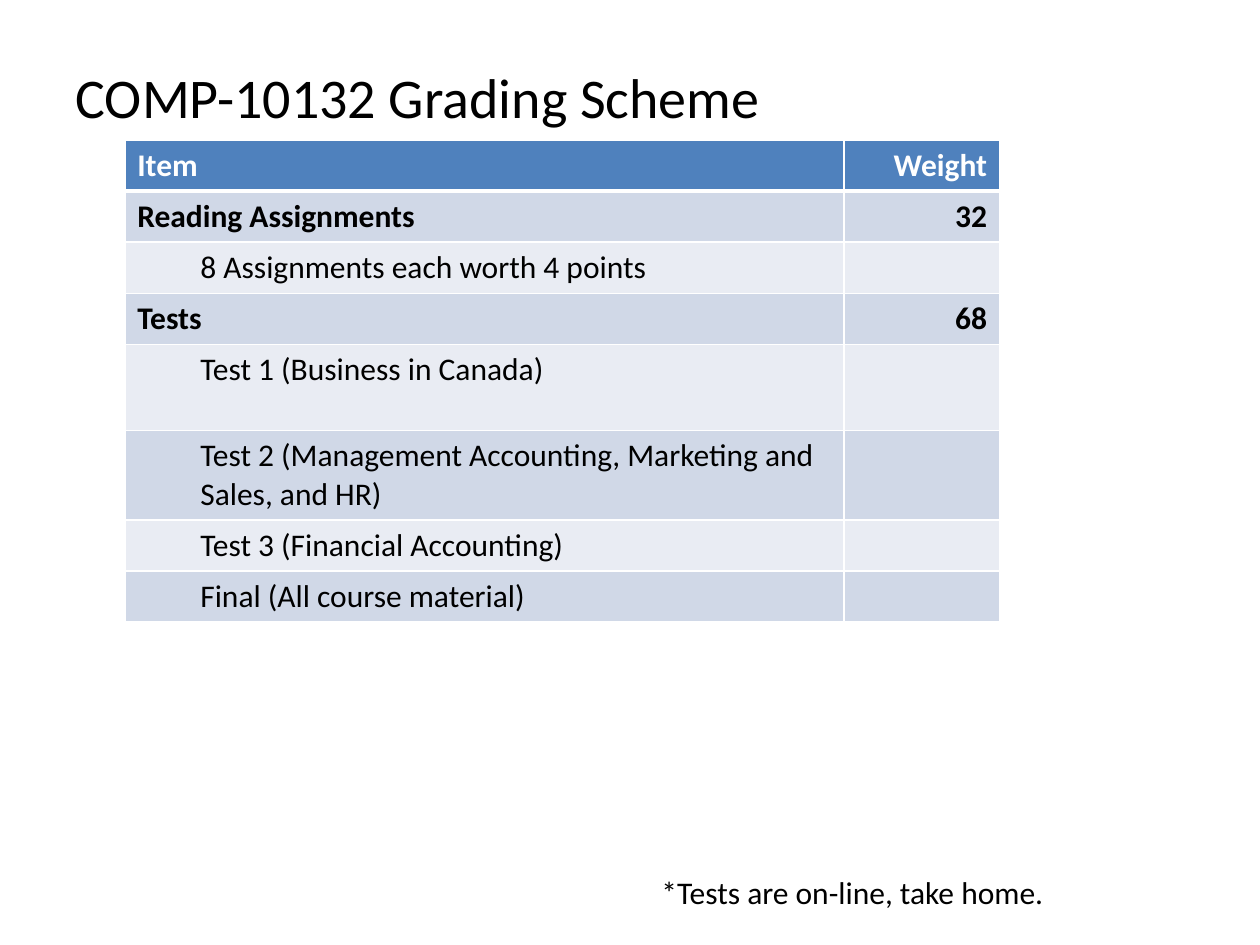
from dataclasses import dataclass

from lxml import etree
from pptx import Presentation
from pptx.dml.color import RGBColor
from pptx.enum import text as t
from pptx.oxml import ns
from pptx.util import Pt


@dataclass(frozen=True)
class Theme:
    """Colours, font, type sizes and rule widths of the slide."""
    font: str = "Calibri"
    title: int = 32
    body: int = 18
    ink: str = "000000"
    paper: str = "FFFFFF"
    header: str = "4F81BD"
    bands: tuple = ("D0D8E7", "E9ECF3")
    rule: float = 0.96
    header_rule: float = 3


class Deck:
    """Holds the theme and the current slide."""

    def __init__(self, prs, theme):
        """Add a title-only slide to the presentation."""
        self.theme = theme
        self.s = prs.slides.add_slide(prs.slide_layouts[5])

    def add_text(self, tf, text, size, color=None, bold=False, align=t.PP_ALIGN.LEFT):
        """Put one formatted paragraph in a text frame and return it."""
        p = tf.paragraphs[0]
        p.alignment = align
        r = p.add_run()
        r.text = text
        fmt = {"name": self.theme.font, "size": Pt(size), "bold": bold}
        for key, value in fmt.items():
            setattr(r.font, key, value)
        r.font.color.rgb = RGBColor.from_string(color or self.theme.ink)
        return p

    def title(self, text, left, top, width, height):
        """Fill and place the title placeholder."""
        sp = self.s.shapes.title
        box = {"left": left, "top": top, "width": width, "height": height}
        for key, value in box.items():
            setattr(sp, key, Pt(value))
        sp.text_frame.vertical_anchor = t.MSO_ANCHOR.MIDDLE
        self.add_text(sp.text_frame, text, self.theme.title)

    def note(self, text, left, top, width, height):
        """Add a text box with one line."""
        sp = self.s.shapes.add_textbox(*map(Pt, (left, top, width, height)))
        sp.text_frame.word_wrap = True
        self.add_text(sp.text_frame, text, self.theme.body)

    def borders(self, cell, top, bottom):
        """Draw the four cell borders."""
        pr = cell._tc.get_or_add_tcPr()
        rule = self.theme.rule
        widths = {"lnL": rule, "lnR": rule, "lnT": top, "lnB": bottom}
        for i, (tag, width) in enumerate(widths.items()):
            ln = etree.Element(ns.qn("a:" + tag), w=str(Pt(width)))
            fill = etree.SubElement(ln, ns.qn("a:solidFill"))
            etree.SubElement(fill, ns.qn("a:srgbClr"), val=self.theme.paper)
            pr.insert(i, ln)

    def table(self, rows, left, top, widths, heights, indent):
        """Add a banded table; rows without a weight are indented details."""
        th = self.theme
        size = (left, top, sum(widths), sum(heights))
        tbl = self.s.shapes.add_table(len(rows), len(widths), *map(Pt, size)).table
        for col, width in zip(tbl.columns, widths):
            col.width = Pt(width)
        for i, (row, height) in enumerate(zip(rows, heights)):
            tbl.rows[i].height = Pt(height)
            is_head, is_detail = i == 0, not row[1]
            back = th.header if is_head else th.bands[(i - 1) % 2]
            above = th.header_rule if i == 1 else th.rule
            below = th.header_rule if is_head else th.rule
            for j, text in enumerate(row):
                cell = tbl.cell(i, j)
                cell.fill.solid()
                cell.fill.fore_color.rgb = RGBColor.from_string(back)
                self.borders(cell, above, below)
                if not text:
                    cell.text_frame.paragraphs[0].font.size = Pt(th.body)
                    continue
                p = self.add_text(cell.text_frame, text, th.body,
                                  th.paper if is_head else th.ink, not is_detail,
                                  t.PP_ALIGN.RIGHT if j else t.PP_ALIGN.LEFT)
                if is_detail:
                    p._p.get_or_add_pPr().set("marL", str(Pt(indent)))


GRADES = [
    ("Item", "Weight"),
    ("Reading Assignments", "32"),
    ("8 Assignments each worth 4 points", ""),
    ("Tests", "68"),
    ("Test 1 (Business in Canada)", ""),
    ("Test 2 (Management Accounting, Marketing and Sales, and HR)", ""),
    ("Test 3 (Financial Accounting)", ""),
    ("Final (All course material)", ""),
]


def main():
    """Build the grading slide."""
    prs = Presentation()
    prs.slide_width, prs.slide_height = Pt(720), Pt(540)
    deck = Deck(prs, Theme())
    deck.title("COMP-10132 Grading Scheme", 36, 32.4, 584.6, 45.4)
    line = 29.2
    heights = [line] * 4 + [49.2, 51.2] + [line] * 2
    deck.table(GRADES, 71.3, 80, (411, 89), heights, 36)
    deck.note("*Tests are on-line, take home.", 370.9, 495.4, 283, 29)
    prs.save("out.pptx")


main()
